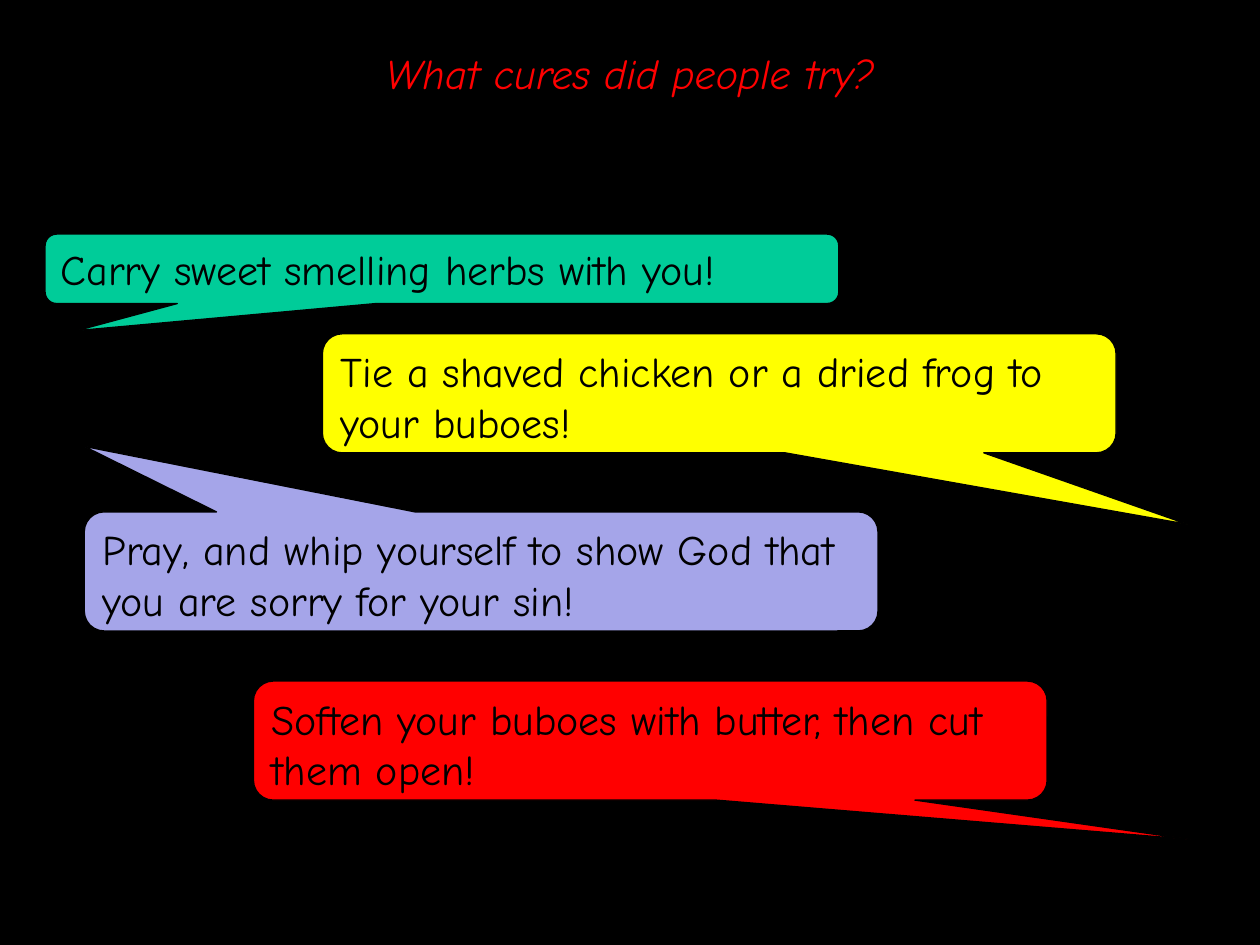
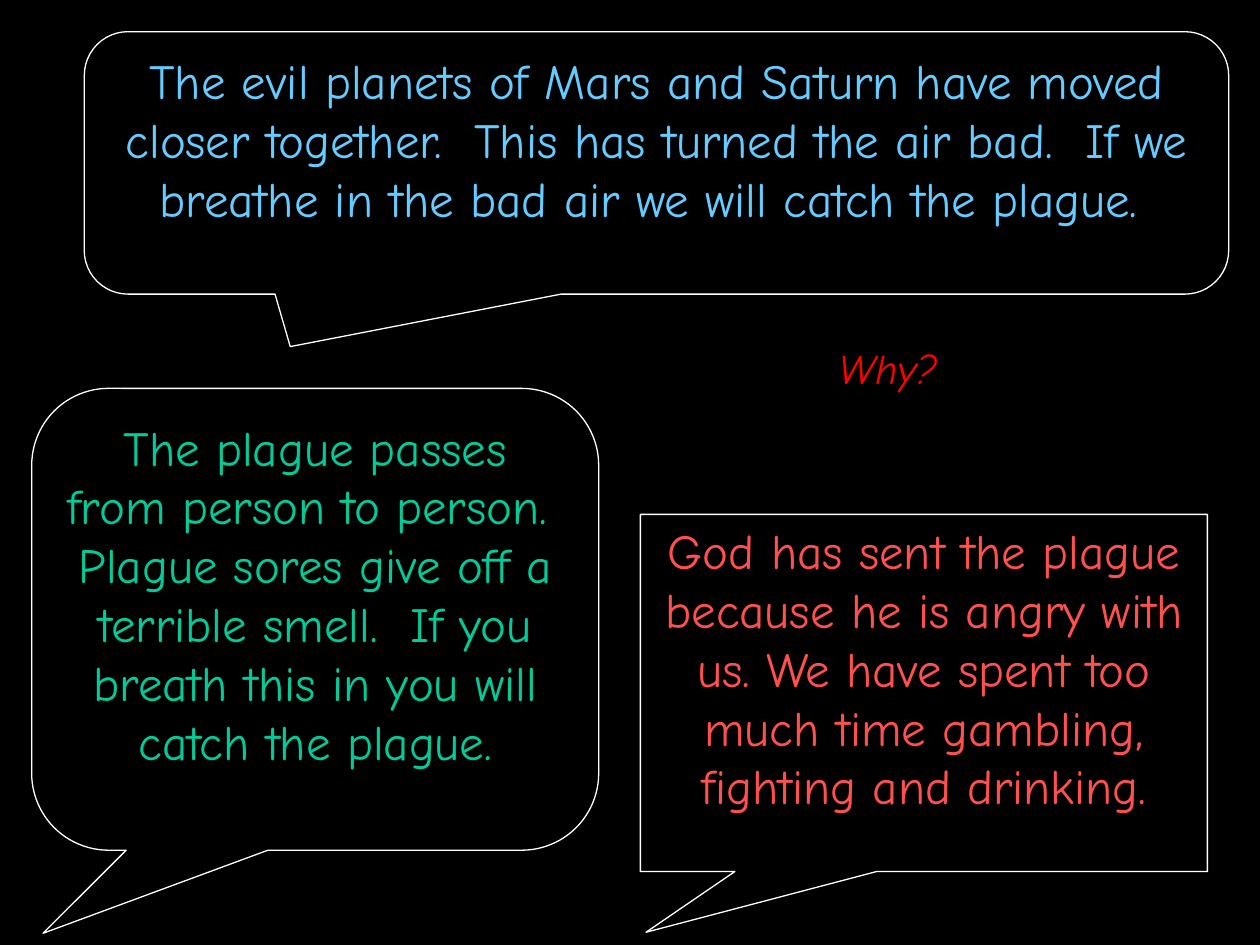
"""Build two slides on the cures and causes of the plague."""
import pptx
import pptx.dml.color
import pptx.enum.shapes
import pptx.enum.text
import pptx.util

Cm = pptx.util.Cm
RGBColor = pptx.dml.color.RGBColor
Shape = pptx.enum.shapes.MSO_SHAPE
Align = pptx.enum.text.PP_ALIGN

BLACK = RGBColor(0x00, 0x00, 0x00)
WHITE = RGBColor(0xFF, 0xFF, 0xFF)
RED = RGBColor(0xFF, 0x00, 0x00)
CORAL = RGBColor(0xFF, 0x50, 0x50)
GREEN = RGBColor(0x00, 0xCC, 0x99)
YELLOW = RGBColor(0xFF, 0xFF, 0x00)
LILAC = RGBColor(0xA5, 0xA5, 0xE9)
SKY = RGBColor(0x66, 0xCC, 0xFF)


class Deck:
    """Presentation style together with the slide being filled."""

    font_name = "Comic Neue"
    blank_layout = 6
    small, large = 24, 28

    def __init__(self):
        self.presentation = pptx.Presentation()
        self.presentation.slide_width = Cm(25.4)
        self.presentation.slide_height = Cm(19.05)
        self.slide = None

    def add_slide(self):
        layout = self.presentation.slide_layouts[self.blank_layout]
        self.slide = self.presentation.slides.add_slide(layout)
        fill = self.slide.background.fill
        fill.solid()
        fill.fore_color.rgb = BLACK

    def set_text(self, shape, text, color, size, alignment, italic=False):
        frame = shape.text_frame
        frame.vertical_anchor = pptx.enum.text.MSO_ANCHOR.TOP
        paragraph = frame.paragraphs[0]
        paragraph.text = text
        paragraph.alignment = alignment
        font = paragraph.font
        font.name = self.font_name
        font.size = pptx.util.Pt(size)
        font.italic = italic
        font.color.rgb = color

    def heading(self, text, box):
        shape = self.slide.shapes.add_textbox(*map(Cm, box))
        shape.text_frame.word_wrap = False
        self.set_text(shape, text, RED, self.small, Align.CENTER, italic=True)

    def callout(self, box, tip, line, fill=None, kind=Shape.ROUNDED_RECTANGULAR_CALLOUT):
        shape = self.slide.shapes.add_shape(kind, *map(Cm, box))
        shape.shadow.inherit = False
        for index, offset in enumerate(tip):
            shape.adjustments[index] = offset
        shape.line.color.rgb = line
        shape.line.width = pptx.util.Pt(0.75)
        if fill is None:
            shape.fill.background()
        else:
            shape.fill.solid()
            shape.fill.fore_color.rgb = fill
        shape.text_frame.word_wrap = True
        return shape

    def cure(self, text, box, tip, fill):
        shape = self.callout(box, tip, BLACK, fill)
        self.set_text(shape, text, BLACK, self.small, Align.LEFT)

    def cause(self, text, box, tip, color, **options):
        shape = self.callout(box, tip, WHITE, **options)
        self.set_text(shape, text, color, self.large, Align.CENTER)


def add_cures(deck):
    deck.add_slide()
    deck.heading("What cures did people try?", (0.84, 0.84, 23.72, 2.11))
    width, one_line, two_lines = 16, 1.4, 2.4
    cures = (
        ("Carry sweet smelling herbs with you!",
         0.91, 4.72, one_line, (-0.46, 0.89), GREEN),
        ("Tie a shaved chicken or a dried frog to your buboes!",
         6.5, 6.73, two_lines, (0.59, 1.1), YELLOW),
        ("Pray, and whip yourself to show God that you are sorry for your sin!",
         1.7, 10.32, two_lines, (-0.5, -1.05), LILAC),
        ("Soften your buboes with butter, then cut them open!",
         5.11, 13.73, two_lines, (0.68, 0.83), RED),
    )
    for text, left, top, height, tip, fill in cures:
        deck.cure(text, (left, top, width, height), tip, fill)


def add_causes(deck):
    deck.add_slide()
    deck.heading("Why?", (13.13, 6.78, 9.53, 2.97))
    deck.cause(
        "The evil planets of Mars and Saturn have moved closer together.  "
        "This has turned the air bad.  If we breathe in the bad air we will "
        "catch the plague. ",
        (1.7, 0.64, 23.07, 5.29), (-0.32, 0.7), SKY)
    deck.cause(
        "God has sent the plague because he is angry with us. We have spent "
        "too much time gambling, fighting and drinking.",
        (12.91, 10.37, 11.43, 7.2), (-0.49, 0.67), CORAL,
        kind=Shape.RECTANGULAR_CALLOUT)
    deck.cause(
        "The plague passes from person to person.  Plague sores give off a "
        "terrible smell.  If you breath this in you will catch the plague.",
        (0.64, 7.83, 11.43, 9.31), (-0.48, 0.68), GREEN)


def main():
    deck = Deck()
    add_cures(deck)
    add_causes(deck)
    deck.presentation.save("out.pptx")


if __name__ == "__main__":
    main()
